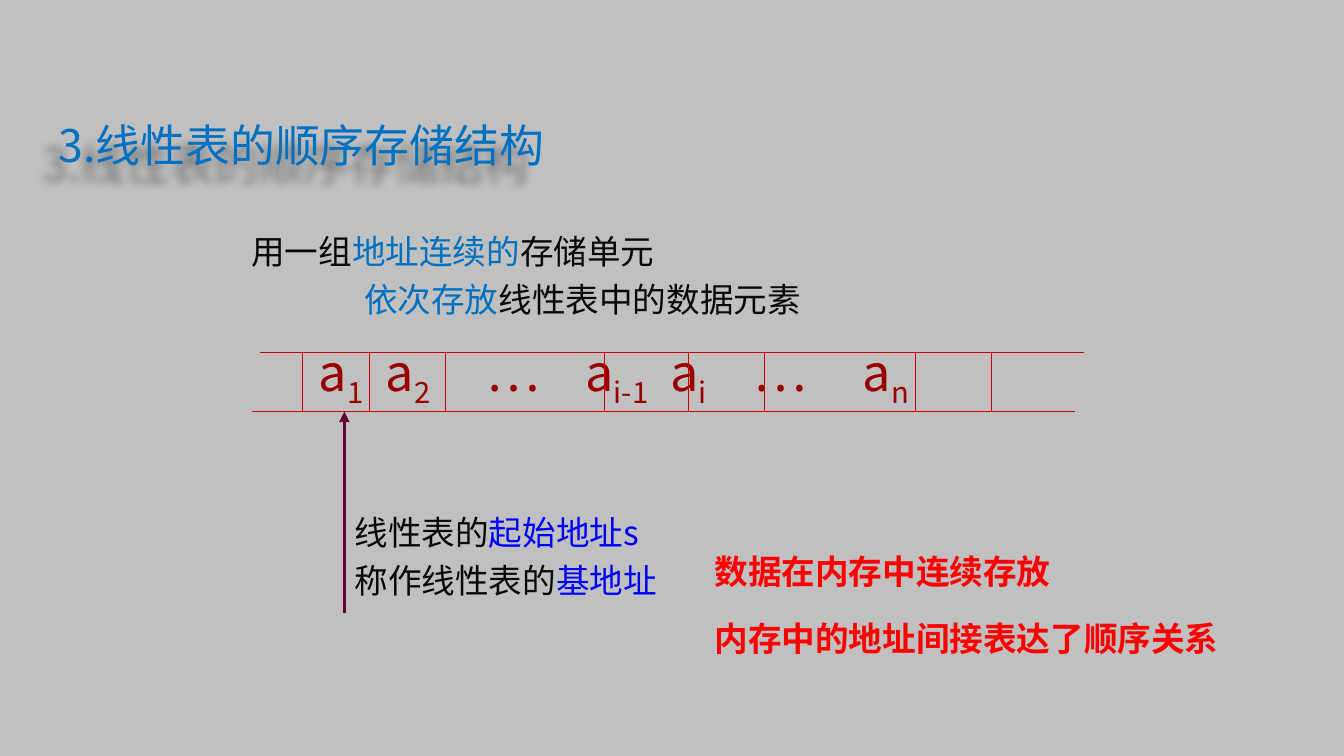
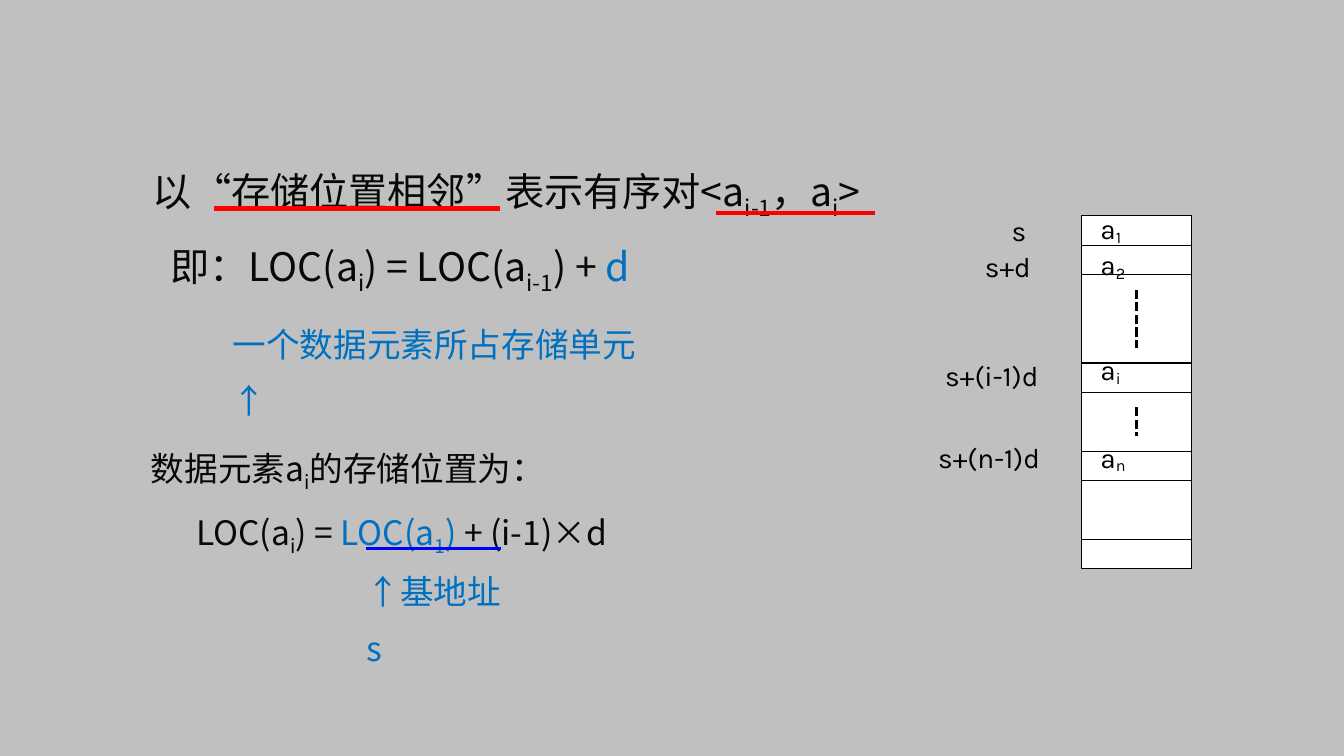
from dataclasses import dataclass
from typing import NamedTuple

from lxml import etree
from pptx import Presentation
from pptx.dml.color import RGBColor
from pptx.enum.dml import MSO_LINE
from pptx.enum.shapes import MSO_CONNECTOR, MSO_SHAPE
from pptx.enum.text import MSO_ANCHOR, PP_ALIGN
from pptx.oxml.ns import qn
from pptx.util import Pt

STRAIGHT = MSO_CONNECTOR.STRAIGHT
RECTANGLE = MSO_SHAPE.RECTANGLE
DOTTED = MSO_LINE.SQUARE_DOT
MIDDLE = MSO_ANCHOR.MIDDLE
TOP = MSO_ANCHOR.TOP
LEFT = PP_ALIGN.LEFT
TITLE_ONLY, BLANK = 5, 6


@dataclass(frozen=True)
class Theme:
    background: str = "C0C0C0"
    ink: str = "080808"
    accent: str = "0070C0"
    address: str = "0000FF"
    alert: str = "FF0000"
    element: str = "990000"
    grid: str = "CC0000"
    pointer: str = "660033"
    black: str = "000000"
    white: str = "FFFFFF"
    cjk: str = "Noto Sans CJK SC"
    latin: str = "Karla"
    title: int = 32
    cell: int = 36
    lead: int = 28
    body: int = 24
    memory: int = 20


THEME = Theme()


class Span(NamedTuple):
    """A stretch of one colour; parts between tildes are subscripts."""
    text: str
    color: str = THEME.ink


class Line(NamedTuple):
    spans: list[Span]
    indent: float = 0
    tabs: tuple[float, ...] = ()


class Style(NamedTuple):
    size: int = THEME.body
    font: str = THEME.cjk
    bold: bool = False
    spacing: float = 1.0
    drop: int = -25


class Block(NamedTuple):
    left: float
    top: float
    width: float
    height: float
    lines: list[Line]
    style: Style = Style()


class Stroke(NamedTuple):
    x1: float
    y1: float
    x2: float
    y2: float
    color: str = THEME.black
    weight: float = 0.75
    dotted: bool = False
    arrow: bool = False


class MemoryRow(NamedTuple):
    address: str
    address_left: float
    address_top: float
    element: str
    element_top: float


def rgb(value: str) -> RGBColor:
    return RGBColor.from_string(value)


def write_span(paragraph, span: Span, style: Style) -> None:
    for position, piece in enumerate(span.text.split("~")):
        if not piece:
            continue
        run = paragraph.add_run()
        run.text = piece
        values = {"size": Pt(style.size), "bold": style.bold, "name": style.font}
        for name, value in values.items():
            setattr(run.font, name, value)
        run.font.color.rgb = rgb(span.color)
        properties = run._r.get_or_add_rPr()
        etree.SubElement(properties, qn("a:ea"), typeface=style.font)
        if position % 2:
            properties.set("baseline", str(style.drop * 1000))


def write_lines(frame, lines: list[Line], style: Style) -> None:
    for number, line in enumerate(lines):
        paragraph = frame.add_paragraph() if number else frame.paragraphs[0]
        properties = paragraph._p.get_or_add_pPr()
        if line.indent:
            properties.set("marL", str(Pt(line.indent)))
        if line.tabs:
            stops = etree.SubElement(properties, qn("a:tabLst"))
            for stop in line.tabs:
                etree.SubElement(stops, qn("a:tab"), pos=str(Pt(stop)), algn="l")
        paragraph.alignment = LEFT
        paragraph.line_spacing = style.spacing
        for span in line.spans:
            write_span(paragraph, span, style)


def add_block(slide, block: Block) -> None:
    box = slide.shapes.add_textbox(*map(Pt, block[:4]))
    frame = box.text_frame
    frame.word_wrap = True
    frame.vertical_anchor = TOP
    write_lines(frame, block.lines, block.style)


def add_stroke(slide, stroke: Stroke) -> None:
    connector = slide.shapes.add_connector(STRAIGHT, *map(Pt, stroke[:4]))
    connector.line.color.rgb = rgb(stroke.color)
    connector.line.width = Pt(stroke.weight)
    if stroke.dotted:
        connector.line.dash_style = DOTTED
    if stroke.arrow:
        etree.SubElement(connector.line._get_or_add_ln(), qn("a:tailEnd"), type="triangle")
    etree.SubElement(connector._element.spPr, qn("a:effectLst"))


def set_title(slide, text: str) -> None:
    """Place the title and give it a soft shadow to the lower left."""
    title = slide.shapes.title
    bounds = {"left": 34.6, "top": 79.2, "width": 648, "height": 54.7}
    for name, value in bounds.items():
        setattr(title, name, Pt(value))
    title.text_frame.vertical_anchor = MIDDLE
    write_lines(title.text_frame, [Line([Span(text, THEME.accent)])],
                Style(THEME.title, spacing=0.85))
    effects = etree.SubElement(title._element.spPr, qn("a:effectLst"))
    shadow = etree.SubElement(effects, qn("a:outerShdw"), blurRad=str(Pt(6)),
                              dist=str(Pt(17)), dir="8100000", algn="ctr", rotWithShape="0")
    color = etree.SubElement(shadow, qn("a:srgbClr"), val=THEME.black)
    etree.SubElement(color, qn("a:alpha"), val="40000")


def build_structure(deck) -> None:
    slide = deck.slides.add_slide(deck.slide_layouts[TITLE_ONLY])
    set_title(slide, "3.线性表的顺序存储结构")
    spaced = Style(spacing=1.2)
    alert = Style(font=THEME.latin, bold=True)
    element_tabs = (47.9, 120, 190.7, 251.4, 310.7, 388.6)
    elements = "a~1~\ta~2~\t…\ta~i-1~\ta~i~\t…\ta~n~"
    blocks = [
        Block(172.4, 155.5, 445, 77, [
            Line([Span("用一组"), Span("地址连续的", THEME.accent), Span("存储单元")]),
            Line([Span("依次存放", THEME.accent), Span("线性表中的数据元素")], indent=80.6),
        ], spaced),
        Block(220.5, 239.8, 492, 75,
              [Line([Span(elements, THEME.element)], tabs=element_tabs)], Style(THEME.cell)),
        Block(246.2, 356.4, 245, 106, [
            Line([Span("线性表的"), Span("起始地址s", THEME.address)]),
            Line([Span("称作线性表的"), Span("基地址", THEME.address)]),
        ], spaced),
        Block(503.3, 390.2, 420, 36,
              [Line([Span("数据在内存中连续存放", THEME.alert)])], alert),
        Block(503.3, 437.8, 420, 36,
              [Line([Span("内存中的地址间接表达了顺序关系", THEME.alert)])], alert),
    ]
    for block in blocks:
        add_block(slide, block)

    top, bottom = 252, 294
    add_stroke(slide, Stroke(186, top, 774, top, THEME.grid))
    add_stroke(slide, Stroke(180, bottom, 768, bottom, THEME.grid))
    for x in (216, 264, 318, 432, 492, 546, 654, 708):
        add_stroke(slide, Stroke(x, top, x, bottom, THEME.grid))
    add_stroke(slide, Stroke(246, 438, 246, bottom, THEME.pointer, 2.5, arrow=True))


def add_memory(slide) -> None:
    """Draw the memory column with its cells, elements and addresses."""
    left, top, width, unit, units = 772.8, 154.3, 78, 21, 12
    column = slide.shapes.add_shape(RECTANGLE, *map(Pt, (left, top, width, unit * units)))
    column.shadow.inherit = False
    column.fill.solid()
    column.fill.fore_color.rgb = rgb(THEME.white)
    column.line.color.rgb = rgb(THEME.black)
    column.line.width = Pt(0.75)
    for edge in (1, 2, 5, 6, 8, 9, 11):
        y = top + edge * unit
        add_stroke(slide, Stroke(left, y, left + width, y))
    center = left + width / 2
    for start, end in ((2.5, 4.5), (6.5, 7.5)):
        add_stroke(slide, Stroke(center, top + start * unit, center, top + end * unit,
                                 weight=2.25, dotted=True))

    style = Style(THEME.memory, THEME.latin, drop=-14)
    rows = [
        MemoryRow("s", 715.6, 149.2, "a~1~", 147.8),
        MemoryRow("s+d", 696.4, 174.8, "a~2~", 173.5),
        MemoryRow("s+(i-1)d", 668, 252.8, "a~i~", 248.5),
        MemoryRow("s+(n-1)d", 663, 311.2, "a~n~", 310.8),
    ]
    for row in rows:
        for text, x, y in ((row.address, row.address_left, row.address_top),
                           (row.element, 779, row.element_top)):
            add_block(slide, Block(x, y, 100, 30, [Line([Span(text, THEME.black)])], style))


def build_location(deck) -> None:
    slide = deck.slides.add_slide(deck.slide_layouts[BLANK])
    loose = Style(spacing=1.4)
    blocks = [
        Block(100.8, 303.1, 540, 89, [
            Line([Span("数据元素a~i~的存储位置为：")]),
            Line([Span("LOC(a~i~) = "), Span("LOC(a~1~) ", THEME.accent),
                  Span("+ (i-1)×d")], indent=32.3),
        ], loose),
        Block(102.2, 100.8, 580, 102, [
            Line([Span("以“存储位置相邻”表示有序对<a~i-1~，a~i~>")]),
            Line([Span("即：LOC(a~i~) = LOC(a~i-1~) + "), Span("d", THEME.accent)],
                 indent=12.5),
        ], Style(THEME.lead, spacing=1.4)),
        Block(159.1, 216, 317.5, 44,
              [Line([Span("一个数据元素所占存储单元↑", THEME.accent)])], loose),
        Block(254.9, 393.1, 120.2, 44, [Line([Span("↑基地址s", THEME.accent)])], loose),
    ]
    for block in blocks:
        add_block(slide, block)
    underlines = [
        Stroke(152.8, 149, 357, 149, THEME.alert, 3),
        Stroke(511.2, 152, 625, 152, THEME.alert, 3),
        Stroke(261.4, 391.7, 357.8, 391.7, THEME.address, 2.25),
    ]
    for underline in underlines:
        add_stroke(slide, underline)
    add_memory(slide)


def main() -> None:
    deck = Presentation()
    deck.slide_width, deck.slide_height = Pt(960), Pt(540)
    backdrop = deck.slide_master.background.fill
    backdrop.solid()
    backdrop.fore_color.rgb = rgb(THEME.background)
    build_structure(deck)
    build_location(deck)
    deck.save("out.pptx")


if __name__ == "__main__":
    main()
